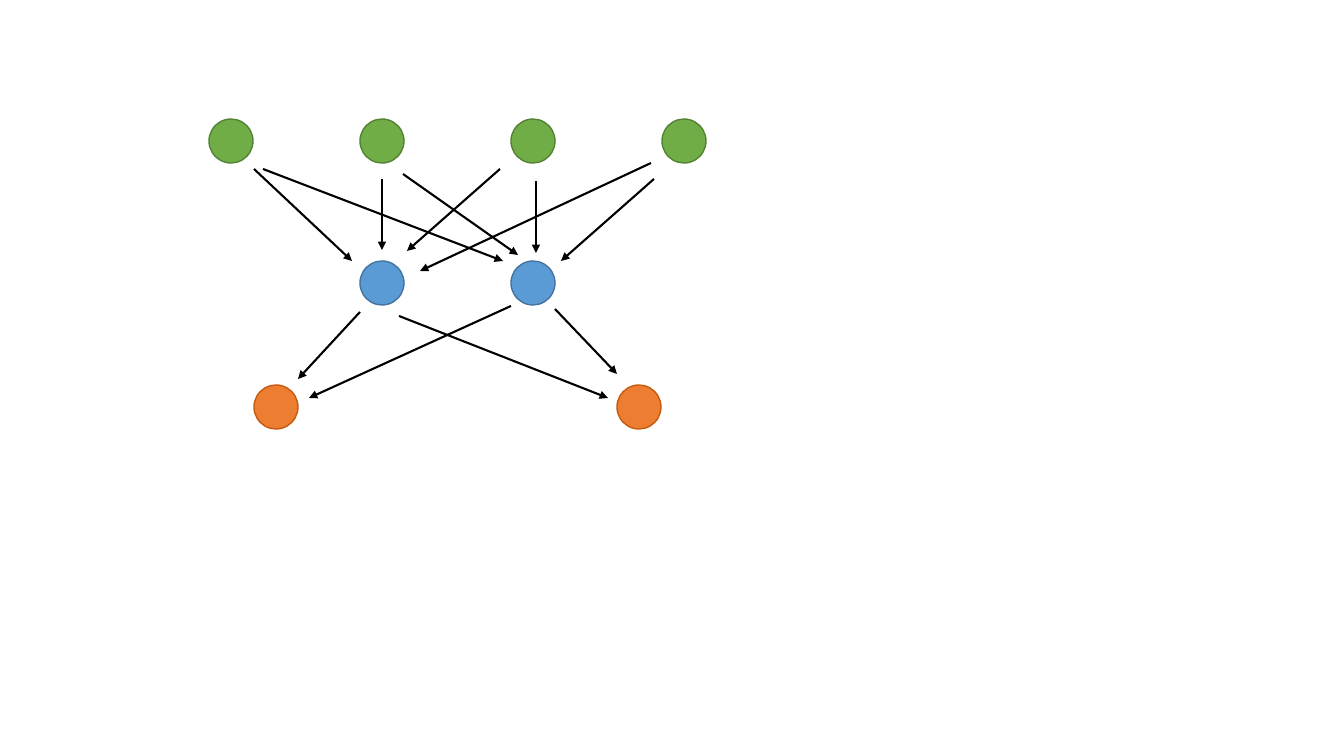
from dataclasses import dataclass
from lxml.etree import SubElement
from pptx import Presentation
from pptx.dml.color import RGBColor
from pptx.enum.shapes import MSO_CONNECTOR, MSO_SHAPE
from pptx.oxml.ns import qn
from pptx.util import Pt

SCALE = 914400 / 100.8


def px(n):
    return round(n * SCALE)


@dataclass(frozen=True)
class Theme:
    green: tuple = ("70AD47", "548235")
    blue: tuple = ("5B9BD5", "43739E")
    orange: tuple = ("ED7D31", "C55A11")
    ink: str = "000000"
    rim: float = 1
    stroke: float = 1.5


THEME = Theme()
DOT = 44

# Layers of nodes: colours, first left, top, step, count
LAYERS = [
    (THEME.green, 0, 0, 151, 4),
    (THEME.blue, 151, 142, 151, 2),
    (THEME.orange, 45, 266, 363, 2),
]

# Arrows between layers: start x, start y, end x, end y
TOP_LINKS = [
    (45, 50, 143, 142), (173, 60, 173, 131), (327, 62, 327, 134),
    (291, 50, 198, 132), (442, 44, 211, 152), (445, 60, 352, 142),
    (54, 50, 294, 142), (194, 55, 309, 136),
]
LOW_LINKS = [
    (151, 193, 89, 260), (302, 187, 100, 279),
    (190, 197, 399, 279), (346, 190, 408, 255),
]


def style(line, color, width):
    line.fill.solid()
    for name, value in {"width": Pt(width)}.items():
        setattr(line, name, value)
    line.color.rgb = RGBColor.from_string(color)


def node(slide, x, y, colors):
    fill, rim = colors
    dot = slide.shapes.add_shape(MSO_SHAPE.OVAL, px(x), px(y), px(DOT), px(DOT))
    dot.shadow.inherit = False
    dot.fill.solid()
    dot.fill.fore_color.rgb = RGBColor.from_string(fill)
    style(dot.line, rim, THEME.rim)


def arrow(slide, *ends):
    link = slide.shapes.add_connector(MSO_CONNECTOR.STRAIGHT, *map(px, ends))
    style(link.line, THEME.ink, THEME.stroke)
    props = link.element.spPr
    SubElement(props.find(qn("a:ln")), qn("a:tailEnd"), type="triangle")
    SubElement(props, qn("a:effectLst"))


def network(slide, left, top):
    # Nodes
    for colors, x, y, step, count in LAYERS:
        for i in range(count):
            node(slide, left + x + i * step, top + y, colors)
    # Arrows
    for x1, y1, x2, y2 in TOP_LINKS + LOW_LINKS:
        arrow(slide, left + x1, top + y1, left + x2, top + y2)


deck = Presentation()
for name, value in {"slide_width": px(1344), "slide_height": px(756)}.items():
    setattr(deck, name, value)
page = deck.slides.add_slide(deck.slide_layouts[6])
network(page, 209, 119)
deck.save("out.pptx")
